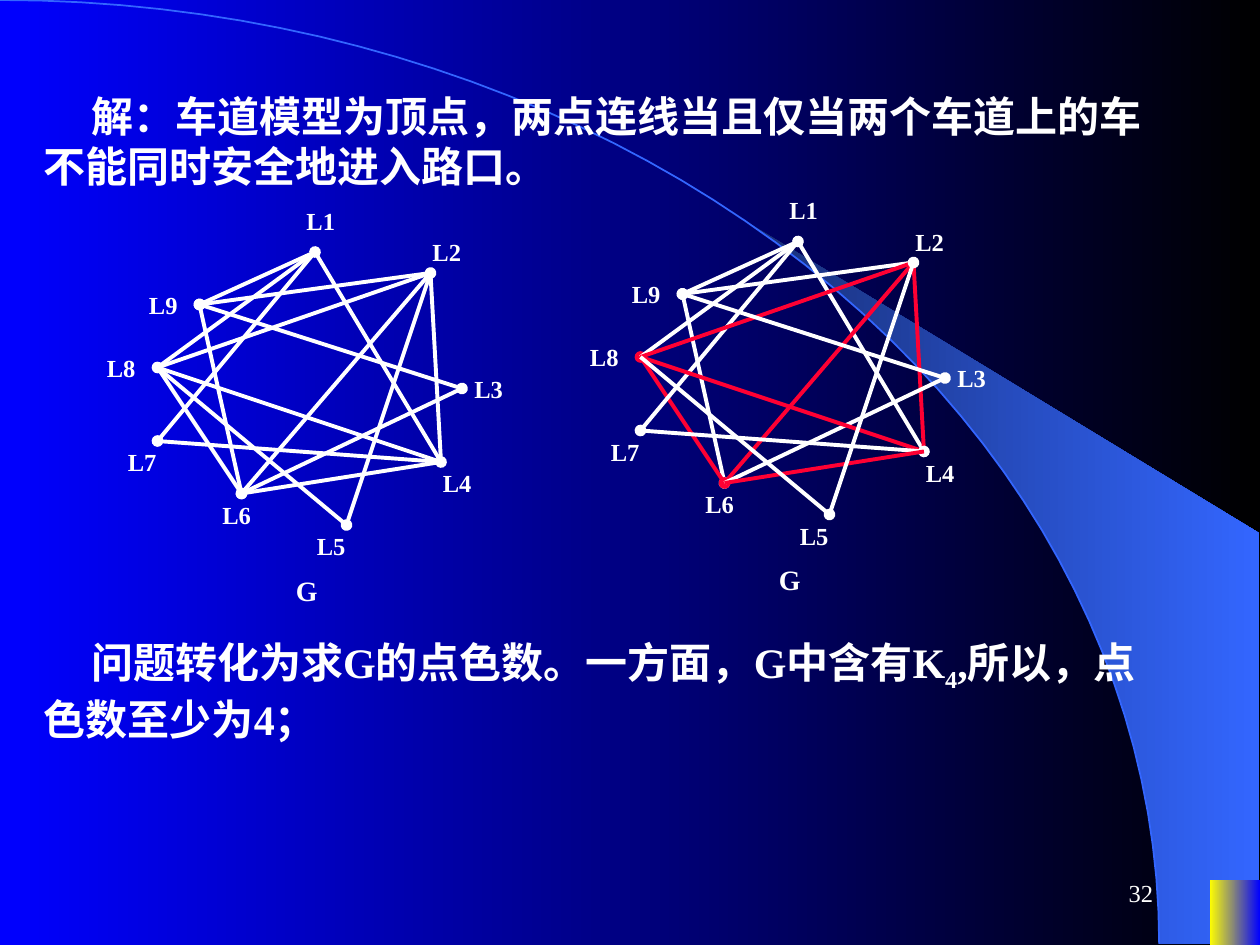
from dataclasses import dataclass
from math import cos, radians, sin

from lxml.etree import SubElement
from pptx import Presentation
from pptx.dml.color import RGBColor
from pptx.enum.shapes import MSO_CONNECTOR, MSO_SHAPE
from pptx.enum.text import MSO_ANCHOR, PP_ALIGN
from pptx.oxml.ns import qn
from pptx.util import Pt


@dataclass(frozen=True)
class Theme:
    font: str = "Times New Roman"
    white: RGBColor = RGBColor(0xFF, 0xFF, 0xFF)
    black: RGBColor = RGBColor(0, 0, 0)
    blue: RGBColor = RGBColor(0, 0, 0xFF)
    sky: RGBColor = RGBColor(0x33, 0x66, 0xFF)
    navy: RGBColor = RGBColor(0x18, 0x2F, 0x76)
    yellow: RGBColor = RGBColor(0xFF, 0xFF, 0)
    red: RGBColor = RGBColor(0xFF, 0, 0x33)
    body: int = 24
    caption: int = 16
    label: int = 14


theme = Theme()


def fill_gradient(fill, left_color, right_color):
    fill.gradient()
    fill.gradient_angle = 0
    for stop, color in zip(fill.gradient_stops, (left_color, right_color)):
        stop.color.rgb = color


def add_text(shapes, box, runs, size, bold=True):
    """Add a white text box; box is left, top, width, height in points."""
    frame = shapes.add_textbox(*map(Pt, box)).text_frame
    frame.word_wrap = True
    paragraph = frame.paragraphs[0]
    for words in runs:
        run = paragraph.add_run()
        run.text = words
        run.font.name = theme.font
        run.font.size = Pt(size)
        run.font.bold = bold
        run.font.color.rgb = theme.white
    return frame


prs = Presentation()
prs.slide_width, prs.slide_height = Pt(720), Pt(540)
slide = prs.slides.add_slide(prs.slide_layouts[6])
fill_gradient(slide.background.fill, theme.blue, theme.black)

# Quarter ellipse from the top left corner, and the beam that touches it
ARC_WIDTH, ARC_HEIGHT = 662.4, 539.3
BEAM_START = 40
arc = [(Pt(ARC_WIDTH * sin(radians(a))), Pt(ARC_HEIGHT * (1 - cos(radians(a)))))
       for a in range(0, 91, 2)]
beam_outline = arc[BEAM_START // 2:] + [(Pt(719.3), Pt(539.3)), (Pt(719.3), Pt(304.6))]

outline = slide.shapes.build_freeform(*beam_outline[0])
outline.add_line_segments(beam_outline[1:], close=True)
beam = outline.convert_to_shape()
beam.shadow.inherit = False
fill_gradient(beam.fill, theme.navy, theme.sky)
beam.line.fill.background()

outline = slide.shapes.build_freeform(*arc[0])
outline.add_line_segments(arc[1:], close=False)
curve = outline.convert_to_shape()
curve.shadow.inherit = False
curve.fill.background()
curve.line.color.rgb = theme.sky
curve.line.width = Pt(1)

corner = slide.shapes.add_shape(MSO_SHAPE.RECTANGLE, Pt(691.2), Pt(502.8), Pt(28.8), Pt(37.2))
corner.shadow.inherit = False
fill_gradient(corner.fill, theme.yellow, theme.blue)
corner.line.fill.background()

page_number = add_text(slide.shapes, (516, 492, 150, 36), ["32"], theme.label, bold=False)
page_number.vertical_anchor = MSO_ANCHOR.MIDDLE
page_number.paragraphs[0].alignment = PP_ALIGN.RIGHT

# Explanations above and below the graphs
explanations = [
    (48, 65, ["解：车道模型为顶点，两点连线当且仅当两个车道上的车不能同时安全地进入路口。"]),
    (360, 69, ["问题转化为求G的点色数。一方面，G中含有K", "4", ",所以，点色数至少为4；"]),
]
for top, height, runs in explanations:
    paragraph = add_text(slide.shapes, (18, top, 642, height), runs, theme.body).paragraphs[0]
    paragraph._p.get_or_add_pPr().set("indent", str(Pt(27)))
    if len(runs) > 1:
        paragraph.runs[1].font._element.set("baseline", "-25000")

# Lane number: vertex position, then top left of its label
lanes = {
    1: ((180, 144), (168, 114)),
    2: ((246, 156), (240, 132)),
    3: ((264, 222), (264, 210)),
    4: ((252, 264), (246, 264)),
    5: ((198, 300), (174, 300)),
    6: ((138, 282), (120, 282)),
    7: ((90, 252), (66, 252)),
    8: ((90, 210), (54, 198)),
    9: ((114, 174), (78, 162)),
}
conflicts = [(1, 9), (9, 6), (6, 8), (1, 8), (1, 7), (1, 4), (9, 2), (2, 8), (2, 6),
             (2, 4), (9, 3), (3, 6), (8, 4), (7, 4), (4, 6), (2, 5), (8, 5)]
dotted = {(1, 9), (9, 6), (6, 8), (9, 3), (7, 4), (2, 5)}
k4 = {2, 4, 6, 8}

for dx, dy, clique in [(0, 0, set()), (276, -6, k4)]:
    graph = slide.shapes.add_group_shape().shapes
    for start, end in conflicts:
        (x1, y1), (x2, y2) = lanes[start][0], lanes[end][0]
        edge = graph.add_connector(MSO_CONNECTOR.STRAIGHT, Pt(x1 + dx), Pt(y1 + dy),
                                   Pt(x2 + dx), Pt(y2 + dy))
        edge.line.color.rgb = theme.red if {start, end} <= clique else theme.white
        edge.line.width = Pt(2.25)
        if (start, end) in dotted:
            for tip in ("a:headEnd", "a:tailEnd"):
                SubElement(edge.line._get_or_add_ln(), qn(tip), type="oval")
        SubElement(edge._element.spPr, qn("a:effectLst"))
    for lane, (_, (x, y)) in lanes.items():
        add_text(graph, (x + dx, y + dy, 37.5, 24.5), [f"L{lane}"], theme.label)
    add_text(graph, (162 + dx, 324 + dy, 55.5, 26.5), ["G"], theme.caption)

prs.save("out.pptx")
